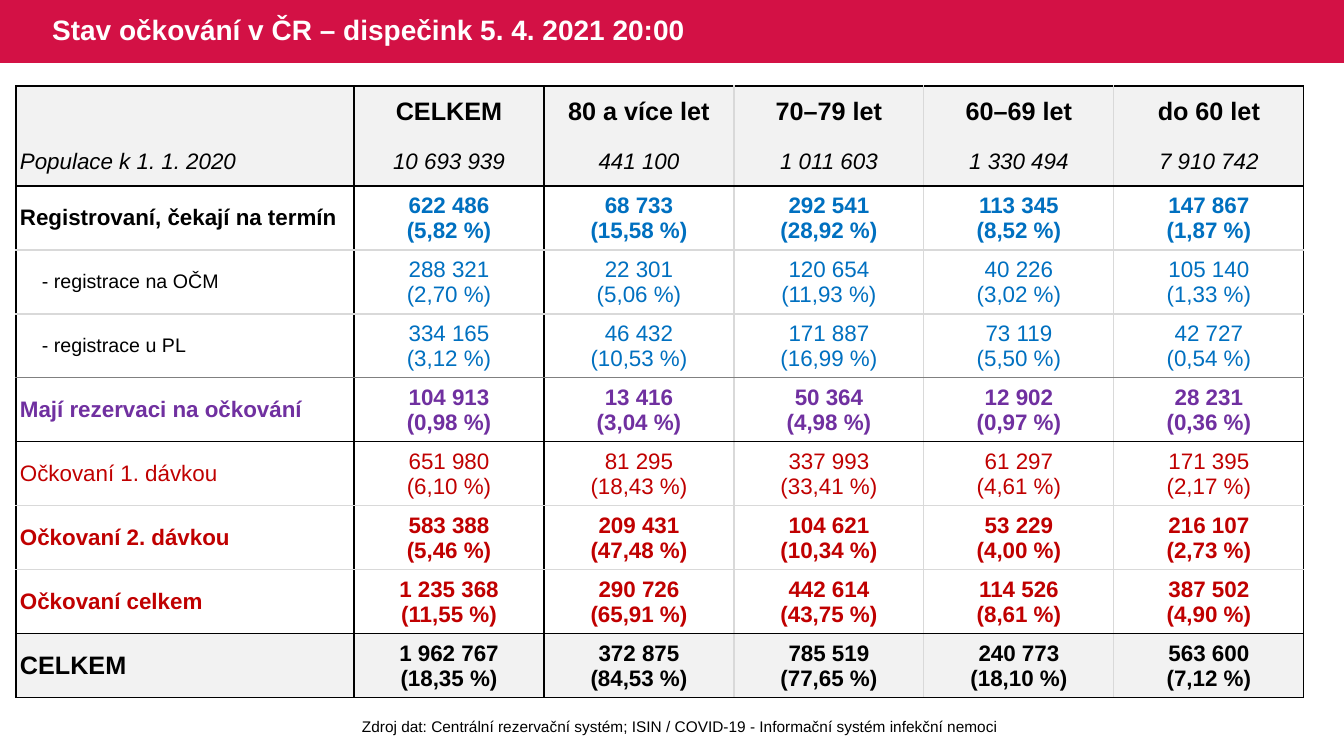
import pptx
import pptx.util
import pptx.dml.color
import pptx.enum.shapes
import pptx.enum.text
import pptx.oxml

SCALE = 914400 / 100.8
FONT = "Arial"
COLORS = {
    "bar": "D31145", "white": "FFFFFF", "black": "000000", "head": "F2F2F2",
    "pale": "D9D9D9", "gray": "808080", "blue": "0070C0",
    "violet": "7030A0", "red": "C00000",
}
ALIGN = pptx.enum.text.PP_ALIGN
MIDDLE = pptx.enum.text.MSO_ANCHOR.MIDDLE

# Label, label size, label color, value size, value color, bold, italic, values
ROWS = [
    ("", 18, "black", 18, "black", True, False,
     ["CELKEM", "80 a více let", "70–79 let", "60–69 let", "do 60 let"]),
    ("Populace k 1. 1. 2020", 16, "black", 16, "black", False, True,
     ["10 693 939", "441 100", "1 011 603", "1 330 494", "7 910 742"]),
    ("Registrovaní, čekají na termín", 16, "black", 16, "blue", True, False,
     ["622 486\v(5,82 %)", "68 733\v(15,58 %)", "292 541\v(28,92 %)",
      "113 345\v(8,52 %)", "147 867\v(1,87 %)"]),
    ("- registrace na OČM", 14, "black", 16, "blue", False, False,
     ["288 321\v(2,70 %)", "22 301\v(5,06 %)", "120 654\v(11,93 %)",
      "40 226\v(3,02 %)", "105 140\v(1,33 %)"]),
    ("- registrace u PL", 14, "black", 16, "blue", False, False,
     ["334 165\v(3,12 %)", "46 432\v(10,53 %)", "171 887\v(16,99 %)",
      "73 119\v(5,50 %)", "42 727\v(0,54 %)"]),
    ("Mají rezervaci na očkování", 16, "violet", 16, "violet", True, False,
     ["104 913\v(0,98 %)", "13 416\v(3,04 %)", "50 364\v(4,98 %)",
      "12 902\v(0,97 %)", "28 231\v(0,36 %)"]),
    ("Očkovaní 1. dávkou", 16, "red", 16, "red", False, False,
     ["651 980\v(6,10 %)", "81 295\v(18,43 %)", "337 993\v(33,41 %)",
      "61 297\v(4,61 %)", "171 395\v(2,17 %)"]),
    ("Očkovaní 2. dávkou", 16, "red", 16, "red", True, False,
     ["583 388\v(5,46 %)", "209 431\v(47,48 %)", "104 621\v(10,34 %)",
      "53 229\v(4,00 %)", "216 107\v(2,73 %)"]),
    ("Očkovaní celkem", 16, "red", 16, "red", True, False,
     ["1 235 368\v(11,55 %)", "290 726\v(65,91 %)", "442 614\v(43,75 %)",
      "114 526\v(8,61 %)", "387 502\v(4,90 %)"]),
    ("CELKEM", 18, "black", 16, "black", True, False,
     ["1 962 767\v(18,35 %)", "372 875\v(84,53 %)", "785 519\v(77,65 %)",
      "240 773\v(18,10 %)", "563 600\v(7,12 %)"]),
]
WIDTHS = [338] + [190] * 5
HEIGHTS = [51, 49] + [64] * 8
SHADED = (0, 1, 9)
# Rule colors, from the first edge of the table to the last
ACROSS = ["black", None, "black", "pale", "pale", "gray",
          "black", "pale", "pale", "black", "black"]
DOWN = ["black", "black", "black", "pale", "pale", "pale", "black"]


def px(count):
    return pptx.util.Emu(round(count * SCALE))


def rgb(name):
    return pptx.dml.color.RGBColor.from_string(COLORS[name])


def write(frame, text, size, color, bold=False, italic=False, align=ALIGN.LEFT):
    para = frame.paragraphs[0]
    para.text = text
    para.alignment = align
    font = para.font
    font.name, font.size = FONT, pptx.util.Pt(size)
    font.bold, font.italic = bold, italic
    font.color.rgb = rgb(color)
    return para


def rule(cell, side, color):
    """Draw one cell border, or clear it when no color is given."""
    props = cell._tc.get_or_add_tcPr()
    fill = "<a:noFill/>"
    if color:
        fill = f'<a:solidFill><a:srgbClr val="{COLORS[color]}"/></a:solidFill>'
    space = "http://schemas.openxmlformats.org/drawingml/2006/main"
    props.append(pptx.oxml.parse_xml(
        f'<a:ln{side} xmlns:a="{space}" w="12700">{fill}</a:ln{side}>'))


def header(slide, x, y, w, h):
    # Red band behind the title
    kind = pptx.enum.shapes.MSO_SHAPE.RECTANGLE
    band = slide.shapes.add_shape(kind, px(x), px(y), px(w), px(h))
    band.shadow.inherit = False
    band.fill.solid()
    band.fill.fore_color.rgb = rgb("bar")
    band.line.fill.background()

    # Title
    title = slide.shapes.title
    title._element.addprevious(band._element)
    title.left, title.top = px(x + 42), px(y)
    title.width, title.height = px(727), px(h)
    frame = title.text_frame
    frame.vertical_anchor = MIDDLE
    frame.word_wrap = True
    para = write(frame, "Stav očkování v ČR – dispečink 5. 4. 2021 20:00",
                 20, "white", bold=True)
    para.line_spacing = 0.9


def grid(slide, x, y):
    shape = slide.shapes.add_table(len(ROWS), len(WIDTHS), px(x), px(y),
                                   px(sum(WIDTHS)), px(sum(HEIGHTS)))
    table = shape.table
    table.first_row = table.horz_banding = False
    for col, width in zip(table.columns, WIDTHS):
        col.width = px(width)
    for row, height in zip(table.rows, HEIGHTS):
        row.height = px(height)

    for r, (label, big, tint, size, color, bold, italic, values) in enumerate(ROWS):
        for c, text in enumerate([label] + values):
            cell = table.cell(r, c)
            cell.vertical_anchor = MIDDLE
            side = 4 if c == 0 or r < 2 else 1
            cell.margin_left = px(26 if text.startswith("-") else side)
            cell.margin_right = px(side)
            cell.margin_top = px(0 if side == 4 else 1)
            cell.margin_bottom = 0
            if c == 0:
                write(cell.text_frame, text, big, tint, bold, italic)
            else:
                write(cell.text_frame, text, size, color, bold, italic, ALIGN.CENTER)
            for edge, line in (("L", DOWN[c]), ("R", DOWN[c + 1]),
                               ("T", ACROSS[r]), ("B", ACROSS[r + 1])):
                rule(cell, edge, line)
            if r in SHADED:
                cell.fill.solid()
                cell.fill.fore_color.rgb = rgb("head")
            else:
                cell.fill.background()


def source(slide, x, y, w, h):
    box = slide.shapes.add_textbox(px(x), px(y), px(w), px(h))
    frame = box.text_frame
    frame.word_wrap = False
    frame.auto_size = pptx.enum.text.MSO_AUTO_SIZE.SHAPE_TO_FIT_TEXT
    write(frame, "Zdroj dat: Centrální rezervační systém; ISIN / COVID-19 - "
                 "Informační systém infekční nemoci", 11, "black")


def main():
    deck = pptx.Presentation()
    deck.slide_width, deck.slide_height = px(1344), px(756)
    slide = deck.slides.add_slide(deck.slide_layouts[5])
    header(slide, 0, 0, 1344, 63)
    grid(slide, 16, 86)
    source(slide, 352, 712, 659, 29)
    deck.save("out.pptx")


if __name__ == "__main__":
    main()
